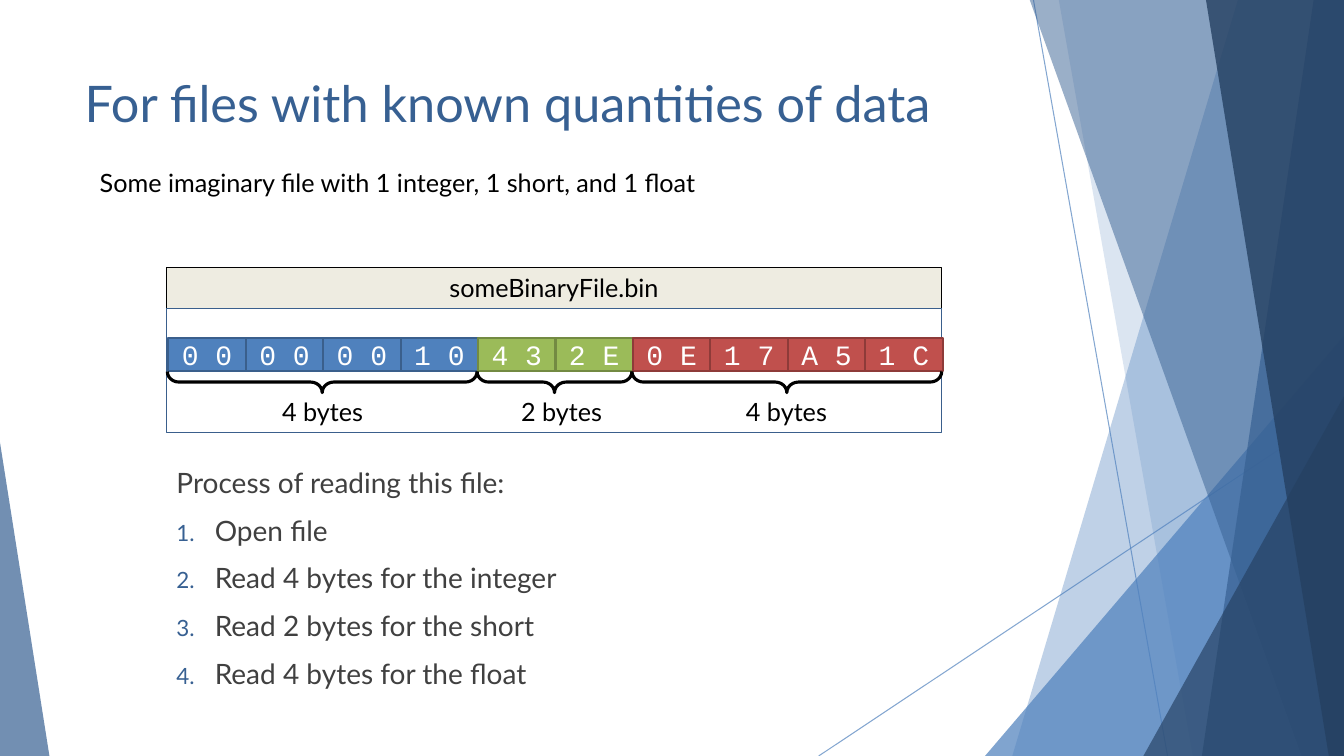
"""Build a slide on reading a binary file with known quantities of data."""
from lxml.etree import SubElement
from pptx import Presentation
from pptx.dml.color import RGBColor
from pptx.enum.shapes import MSO_CONNECTOR as Connector, MSO_SHAPE as Shape
from pptx.enum.text import MSO_ANCHOR as Anchor, MSO_AUTO_SIZE as AutoSize, PP_ALIGN as Align
from pptx.oxml.ns import qn
from pptx.util import Inches, Pt

WIDTH, HEIGHT = 13.33, 7.5
COLORS = {
    "blue": "4F81BD", "blue edge": "3A5F8C", "deep": "376092", "navy": "254061",
    "green": "9BBB59", "green edge": "738A42", "red": "C0504D", "red edge": "8E3B39",
    "cream": "EEECE1", "gray": "404040", "black": "000000", "white": "FFFFFF",
}
FILE_LEFT, FILE_WIDTH = 1.65, 7.69
BYTE_LEFT, BYTE_WIDTH = 1.67, 0.768
FIELDS = [
    ("blue", ["0 0", "0 0", "0 0", "1 0"], 2.61),
    ("green", ["4 3", "2 E"], 4.98),
    ("red", ["0 E", "1 7", "A 5", "1 C"], 7.21),
]
STEPS = ["Open file", "Read 4 bytes for the integer", "Read 2 bytes for the short",
         "Read 4 bytes for the float"]


def rgb(color):
    """Return the named colour."""
    return RGBColor.from_string(COLORS[color])


def set_alpha(fill_owner, percent):
    """Make the solid colour of a shape fill or line partly transparent."""
    color = next(fill_owner.iter(qn("a:srgbClr")))
    SubElement(color, qn("a:alpha"), val=str(percent * 1000))


def write(para, text, size=18, font="Lato", color="black", align=Align.LEFT, before=0):
    """Put one formatted run into a paragraph."""
    para.alignment = align
    para.space_before = Pt(before)
    span = para.add_run()
    span.text = text
    span.font.size, span.font.name = Pt(size), font
    span.font.color.rgb = rgb(color)


def style(shape, fill=None, line=None, weight=0.75, alpha=None):
    """Set the fill and outline of a shape, without shadow."""
    shape.shadow.inherit = False
    if fill:
        shape.fill.solid()
        shape.fill.fore_color.rgb = rgb(fill)
        if alpha:
            set_alpha(shape.element.spPr, alpha)
    else:
        shape.fill.background()
    if line:
        shape.line.color.rgb = rgb(line)
        shape.line.width = Pt(weight)
    else:
        shape.line.fill.background()


def add_box(page, kind, area, **look):
    """Add a styled preset shape."""
    box = page.shapes.add_shape(kind, *map(Inches, area))
    style(box, **look)
    return box


def add_label(page, area, text, align=Align.LEFT):
    """Add a text box with one line."""
    box = page.shapes.add_textbox(*map(Inches, area))
    box.text_frame.word_wrap = True
    write(box.text_frame.paragraphs[0], text, align=align)


def add_ray(page, start, end):
    """Add a thin translucent line."""
    ray = page.shapes.add_connector(Connector.STRAIGHT, *map(Inches, start + end))
    ray.line.color.rgb = rgb("blue")
    ray.line.width = Pt(0.75)
    properties = ray.element.spPr
    set_alpha(properties, 70)
    SubElement(properties, qn("a:effectLst"))


def add_panel(page, top_left, bottom_left, color, alpha):
    """Add a slanted panel that reaches the right edge of the slide."""
    corners = [(top_left, -0.01), (WIDTH, -0.01), (WIDTH, HEIGHT), (bottom_left, HEIGHT)]
    points = [(Inches(x), Inches(y)) for x, y in corners]
    builder = page.shapes.build_freeform(*points[0])
    builder.add_line_segments(points[1:], close=True)
    style(builder.convert_to_shape(), fill=color, alpha=alpha)


def add_wedge(page, left, top, width, apex, color, alpha):
    """Add a right-angled triangle standing on the bottom edge."""
    area = (left, top, width, HEIGHT - top)
    wedge = add_box(page, Shape.ISOSCELES_TRIANGLE, area, fill=color, alpha=alpha)
    wedge.adjustments[0] = apex


def add_facets(page):
    """Draw the decorative facets from back to front."""
    add_ray(page, (10.25, 0), (11.58, HEIGHT))
    add_ray(page, (WIDTH, 4.03), (8.12, HEIGHT))
    add_panel(page, 12.28, 10.04, "blue", 36)
    add_panel(page, 10.5, 11.83, "blue", 20)
    add_wedge(page, 9.77, 3.33, 3.56, 1, "blue", 72)
    add_panel(page, 10.21, 12.91, "deep", 50)
    add_panel(page, 13.03, 11.92, "deep", 70)
    add_panel(page, 11.96, 13.18, "navy", 80)
    add_wedge(page, 11.34, 3.93, 1.99, 1, "navy", 66)
    add_wedge(page, 0, 4.39, 0.49, 0, "deep", 70)


def place(placeholder, area):
    """Move a placeholder to the front and return its text frame."""
    placeholder.left, placeholder.top, placeholder.width, placeholder.height = map(Inches, area)
    placeholder.element.getparent().append(placeholder.element)
    frame = placeholder.text_frame
    frame.word_wrap, frame.auto_size = True, AutoSize.NONE
    frame.vertical_anchor = Anchor.TOP
    return frame


def set_marker(para, numbered):
    """Number a paragraph, or take its bullet away."""
    properties = para._p.get_or_add_pPr()
    indent = Inches(0.38) if numbered else 0
    properties.set("marL", str(indent))
    properties.set("indent", str(-indent))
    if numbered:
        SubElement(SubElement(properties, qn("a:buClr")), qn("a:srgbClr"), val=COLORS["deep"])
        SubElement(properties, qn("a:buSzPct"), val="80000")
        SubElement(properties, qn("a:buFont"), typeface="Lato")
        SubElement(properties, qn("a:buAutoNum"), type="arabicPeriod")
    else:
        SubElement(properties, qn("a:buNone"))


def add_steps(frame):
    """Write the reading process as a numbered list."""
    for index, text in enumerate(["Process of reading this file:"] + STEPS):
        para = frame.add_paragraph() if index else frame.paragraphs[0]
        write(para, text, size=20, color="gray", before=10)
        set_marker(para, numbered=index > 0)


def add_brace(page, left, width):
    """Add a brace that opens upward under a field."""
    depth, middle = 0.21, 3.79
    area = (left + (width - depth) / 2, middle - width / 2, depth, width)
    brace = add_box(page, Shape.LEFT_BRACE, area, line="black", weight=2.25)
    brace.rotation = 270
    brace.adjustments[0] = 0.544


def add_file(page):
    """Draw the binary file with its fields, bytes and braces."""
    header = add_box(page, Shape.RECTANGLE, (FILE_LEFT, 2.65, FILE_WIDTH, 0.41),
                     fill="cream", line="black")
    write(header.text_frame.paragraphs[0], "someBinaryFile.bin", align=Align.CENTER)
    add_box(page, Shape.RECTANGLE, (FILE_LEFT, 3.06, FILE_WIDTH, 1.23),
            fill="white", line="blue edge")
    left = BYTE_LEFT
    for color, values, label_left in FIELDS:
        width = len(values) * BYTE_WIDTH
        for index, value in enumerate(values):
            cell = add_box(page, Shape.RECTANGLE,
                           (left + index * BYTE_WIDTH, 3.35, BYTE_WIDTH, 0.33),
                           fill=color, line=color + " edge", weight=1.5)
            write(cell.text_frame.paragraphs[0], value, size=20, font="Courier New",
                  color="white", align=Align.CENTER)
        add_brace(page, left - 0.01, width)
        add_label(page, (label_left, 3.88, 1.18, 0.4), f"{len(values)} bytes", Align.CENTER)
        left += width


def main():
    """Build and save the deck."""
    deck = Presentation()
    deck.slide_width, deck.slide_height = Inches(WIDTH), Inches(HEIGHT)
    page = deck.slides.add_slide(deck.slide_layouts[1])
    title, body = page.placeholders
    add_facets(page)
    heading = place(title, (0.74, 0.67, 9.52, 1.44))
    write(heading.paragraphs[0], "For files with known quantities of data",
          size=36, color="deep")
    add_steps(place(body, (1.65, 4.57, 4.5, 2.46)))
    add_file(page)
    add_label(page, (0.89, 1.61, 7.41, 0.4),
              "Some imaginary file with 1 integer, 1 short, and 1 float")
    deck.save("out.pptx")


main()
